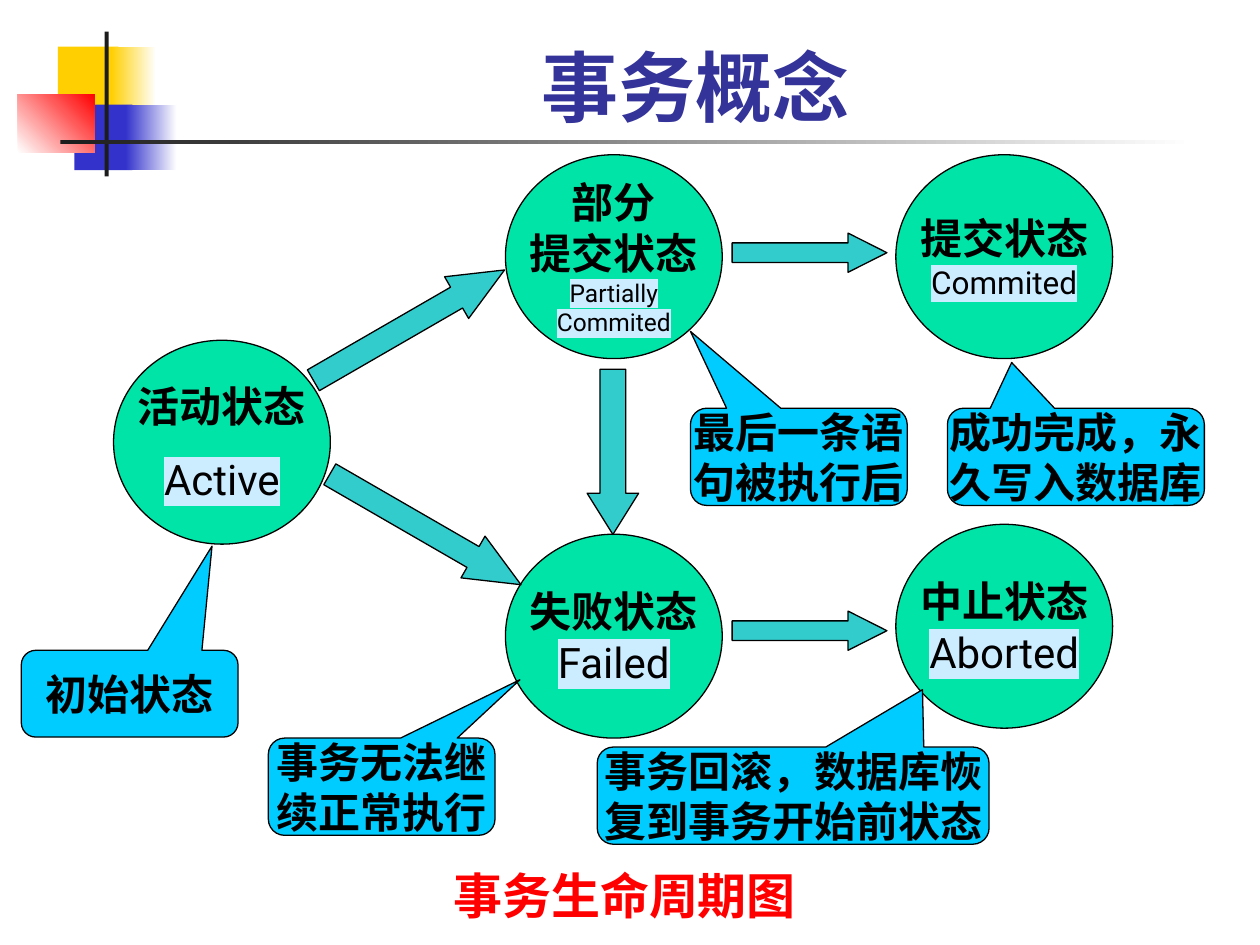
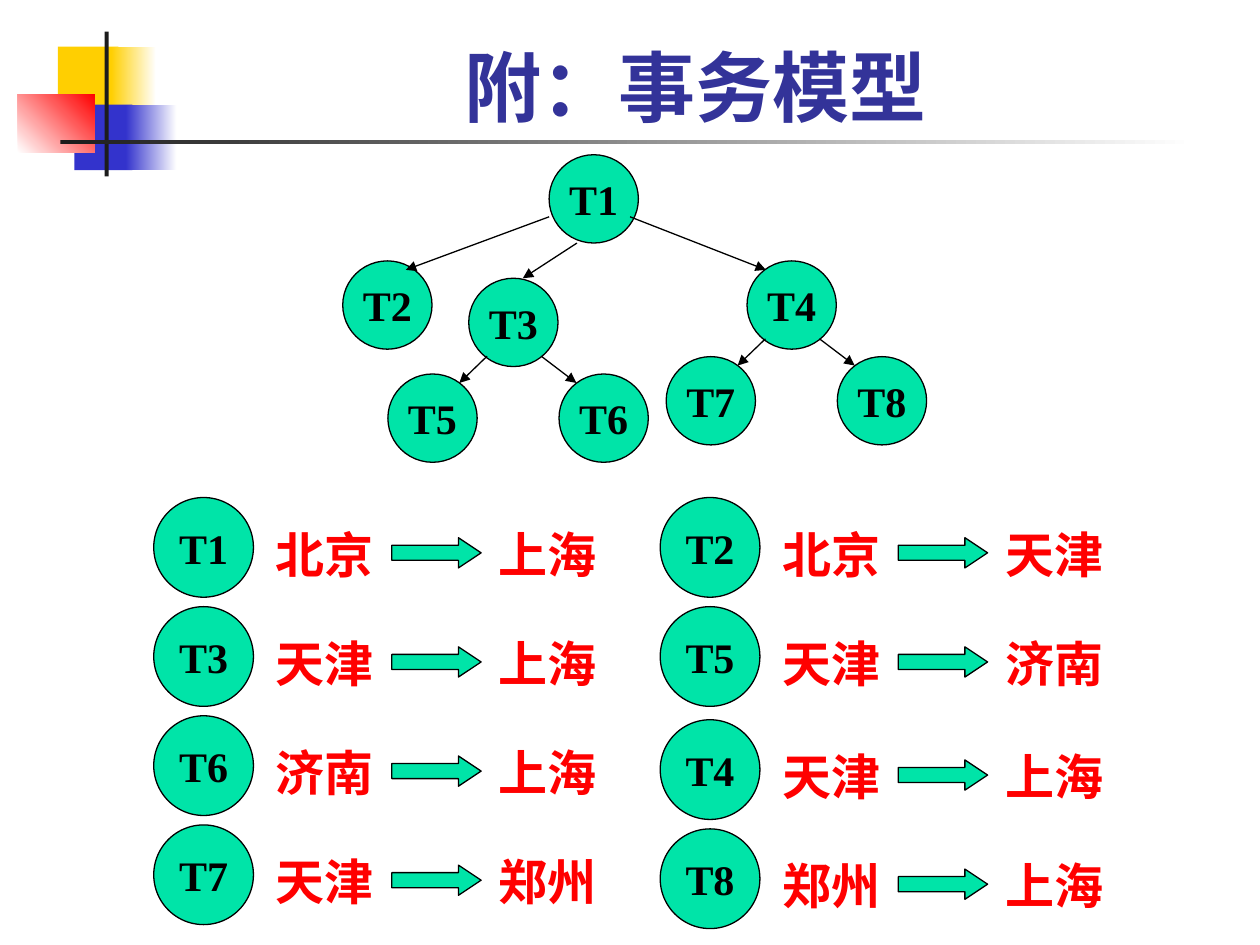
from lxml import etree
from pptx import Presentation
from pptx.dml.color import RGBColor
from pptx.enum.shapes import MSO_CONNECTOR as Line, MSO_SHAPE as Kind
from pptx.enum.text import MSO_ANCHOR as Anchor, PP_ALIGN as Align
from pptx.oxml.ns import qn
from pptx.util import Cm, Pt

BLACK = RGBColor(0x00, 0x00, 0x00)
WHITE = RGBColor(0xFF, 0xFF, 0xFF)
INK = RGBColor(0x1C, 0x1C, 0x1C)
RED = RGBColor(0xFF, 0x00, 0x00)
YELLOW = RGBColor(0xFF, 0xCF, 0x01)
BLUE = RGBColor(0x33, 0x33, 0xCC)
TITLE_BLUE = RGBColor(0x33, 0x33, 0x99)
GREEN = RGBColor(0x00, 0xE4, 0xA8)
TEAL = RGBColor(0x33, 0xCC, 0xCC)
SKY = RGBColor(0x00, 0xCC, 0xFF)
PALE_BLUE = RGBColor(0xCC, 0xEC, 0xFF)
SANS, SERIF = "Roboto", "Times New Roman"

NODE_SIZE = (1.8, 1.78)
STATE_SIZE = (4.37, 4.11)


def in_cm(*lengths):
    return [Cm(length) for length in lengths]


def add_line(frame, text, *, size=24, font=SERIF, color=BLACK, bold=True,
             align=Align.CENTER, highlight=None, before=None):
    """Append one formatted paragraph, filling the empty first one if there is one."""
    para = frame.add_paragraph() if frame.text else frame.paragraphs[0]
    para.alignment = align
    if before:
        para.space_before = Pt(before)
    span = para.add_run()
    span.text = text
    span.font.size = Pt(size)
    span.font.bold = bold
    span.font.color.rgb = color
    if highlight:
        mark = etree.Element(qn("a:highlight"))
        etree.SubElement(mark, qn("a:srgbClr"), val=str(highlight))
        span.font._element.find(qn("a:solidFill")).addnext(mark)
    span.font.name = font


def add_block(shapes, kind, box, fill, *, outline=True, adjust=(), rotation=0):
    block = shapes.add_shape(kind, *in_cm(*box))
    block.shadow.inherit = False
    block.fill.solid()
    block.fill.fore_color.rgb = fill
    if outline:
        block.line.color.rgb = BLACK
        block.line.width = Pt(0.75)
    else:
        block.line.fill.background()
    for index, value in enumerate(adjust):
        block.adjustments[index] = value
    block.rotation = rotation
    block.text_frame.word_wrap = False
    block.text_frame.vertical_anchor = Anchor.MIDDLE
    return block


def add_fade(shapes, box, start, end, angle=0):
    block = add_block(shapes, Kind.RECTANGLE, box, start, outline=False)
    block.fill.gradient()
    block.fill.gradient_angle = angle
    for stop, color in zip(block.fill.gradient_stops, (start, end)):
        stop.color.rgb = color


def add_label(shapes, text, box, **style):
    label = shapes.add_textbox(*in_cm(*box))
    label.text_frame.word_wrap = False
    add_line(label.text_frame, text, color=RED, size=28, align=Align.LEFT, **style)


def add_pointer(shapes, start, end):
    pointer = shapes.add_connector(Line.STRAIGHT, *in_cm(*start, *end))
    pointer.line.color.rgb = BLACK
    pointer.line.width = Pt(0.75)
    etree.SubElement(pointer.line._get_or_add_ln(), qn("a:tailEnd"), type="triangle")
    etree.SubElement(pointer._element.spPr, qn("a:effectLst"))


def add_corner_mark(shapes):
    add_block(shapes, Kind.RECTANGLE, (1.17, 0.94, 1.22, 1.32), YELLOW, outline=False)
    add_fade(shapes, (2.24, 0.94, 0.91, 1.32), YELLOW, WHITE)
    add_block(shapes, Kind.RECTANGLE, (1.5, 2.11, 1.17, 1.32), BLUE, outline=False)
    add_fade(shapes, (2.54, 2.11, 1.02, 1.32), BLUE, WHITE)
    add_fade(shapes, (0.36, 1.9, 1.55, 1.17), WHITE, RED, angle=45)
    add_block(shapes, Kind.RECTANGLE, (2.11, 0.64, 0.08, 2.92), INK, outline=False)
    add_fade(shapes, (1.22, 2.82, 22.86, 0.09), INK, WHITE)


def add_page(deck, heading):
    page = deck.slides.add_slide(deck.slide_layouts[5])
    add_corner_mark(page.shapes)
    title = page.shapes.title
    title.left, title.top, title.width, title.height = in_cm(3.2, 0.43, 21.64, 2.36)
    title.text_frame.vertical_anchor = Anchor.BOTTOM
    add_line(title.text_frame, heading, size=44, font=SANS, color=TITLE_BLUE)
    return page


def add_state(shapes, left, top, names, english, size=24, gap=None):
    state = add_block(shapes, Kind.OVAL, (left, top, *STATE_SIZE), GREEN)
    for name in names:
        add_line(state.text_frame, name, font=SANS)
    for word in english:
        add_line(state.text_frame, word, font=SANS, size=size, bold=False,
                 highlight=PALE_BLUE, before=gap)


def add_callout(shapes, box, tip, lines):
    callout = add_block(shapes, Kind.ROUNDED_RECTANGULAR_CALLOUT, box, SKY,
                        adjust=(*tip, 0.167))
    for line in lines:
        add_line(callout.text_frame, line)


def build_life_cycle(deck):
    shapes = add_page(deck, "事务概念").shapes
    left, middle, right = 2.29, 10.19, 18.06
    add_state(shapes, left, 6.86, ["活动状态"], ["Active"], gap=13)
    add_state(shapes, middle, 10.77, ["失败状态"], ["Failed"])
    add_state(shapes, middle, 3.12, ["部分", "提交状态"], ["Partially", "Commited"], size=14)
    add_state(shapes, right, 3.12, ["提交状态"], ["Commited"], size=18)
    add_state(shapes, right, 10.57, ["中止状态"], ["Aborted"])

    transitions = [
        ((14.76, 4.7, 3.12, 0.79), 0.99, 0),
        ((14.76, 12.32, 3.12, 0.79), 0.99, 0),
        ((6.35, 10.19, 4.45, 0.97), 1.15, 30),
        ((6.02, 6.07, 4.45, 0.97), 1.15, 330),
        ((10.69, 8.59, 3.33, 1.04), 0.8, 90),
    ]
    for box, head, rotation in transitions:
        add_block(shapes, Kind.RIGHT_ARROW, box, TEAL, adjust=(0.5, head), rotation=rotation)

    callouts = [
        ((0.43, 13.11, 4.37, 1.75), (0.38, -1.7), ["初始状态"]),
        ((5.41, 14.88, 4.57, 1.96), (0.61, -1.1), ["事务无法继", "续正常执行"]),
        ((12.04, 15.06, 7.9, 1.96), (0.33, -1.09), ["事务回滚，数据库恢", "复到事务开始前状态"]),
        ((13.92, 8.23, 4.37, 1.96), (-0.5, -1.29), ["最后一条语", "句被执行后"]),
        ((19.1, 8.23, 5.18, 1.96), (-0.25, -0.97), ["成功完成，永", "久写入数据库"]),
    ]
    for box, tip, lines in callouts:
        add_callout(shapes, box, tip, lines)
    add_label(shapes, "事务生命周期图", (8.89, 17.32, 7.47, 1.45), font=SANS)


def add_node(shapes, name, left, top, size=NODE_SIZE):
    node = add_block(shapes, Kind.OVAL, (left, top, *size), GREEN)
    add_line(node.text_frame, name)


def add_branch(shapes, left, top, parent, first, second):
    """Draw a parent node with its two children below it."""
    add_node(shapes, parent, left, top)
    add_node(shapes, first, left - 1.63, top + 1.93)
    add_node(shapes, second, left + 1.82, top + 1.93)
    for start, end in ((0.37, -0.19), (1.46, 2.17)):
        add_pointer(shapes, (left + start, top + 1.57), (left + end, top + 2.11))


def add_tree(shapes):
    add_node(shapes, "T1", 11.07, 3.12)
    add_node(shapes, "T2", 6.91, 5.26)
    add_branch(shapes, 9.45, 5.61, "T3", "T5", "T6")
    add_branch(shapes, 15.06, 5.26, "T4", "T7", "T8")
    add_pointer(shapes, (11.07, 4.37), (8.18, 5.44))
    add_pointer(shapes, (11.63, 4.9), (10.54, 5.61))
    add_pointer(shapes, (12.7, 4.37), (15.44, 5.44))


def add_route(page, left, top, name, origin, target):
    shapes = page.shapes.add_group_shape().shapes
    add_node(shapes, name, left, top, size=(2.01, 2.01))
    for city, offset in ((origin, 2.21), (target, 6.71)):
        add_label(shapes, city, (left + offset, top + 0.41, 2.49, 1.45))
    add_block(shapes, Kind.RIGHT_ARROW, (left + 4.8, top + 0.81, 1.8, 0.61), GREEN,
              adjust=(0.5, 0.75))


def build_model(deck):
    page = add_page(deck, "附：事务模型")
    add_tree(page.shapes)
    left_routes = [("T1", "北京", "上海"), ("T3", "天津", "上海"),
                   ("T6", "济南", "上海"), ("T7", "天津", "郑州")]
    right_routes = [("T2", "北京", "天津"), ("T5", "天津", "济南"),
                    ("T4", "天津", "上海"), ("T8", "郑州", "上海")]
    # The lower half of the right column sits slightly below the left one.
    for left, routes, drop in ((3.1, left_routes, 0), (13.31, right_routes, 0.08)):
        for row, route in enumerate(routes):
            top = 10.03 + 2.2 * row + (drop if row >= 2 else 0)
            add_route(page, left, top, *route)


def main():
    deck = Presentation()
    deck.slide_width, deck.slide_height = in_cm(25.4, 19.05)
    build_life_cycle(deck)
    build_model(deck)
    deck.save("out.pptx")


if __name__ == "__main__":
    main()
